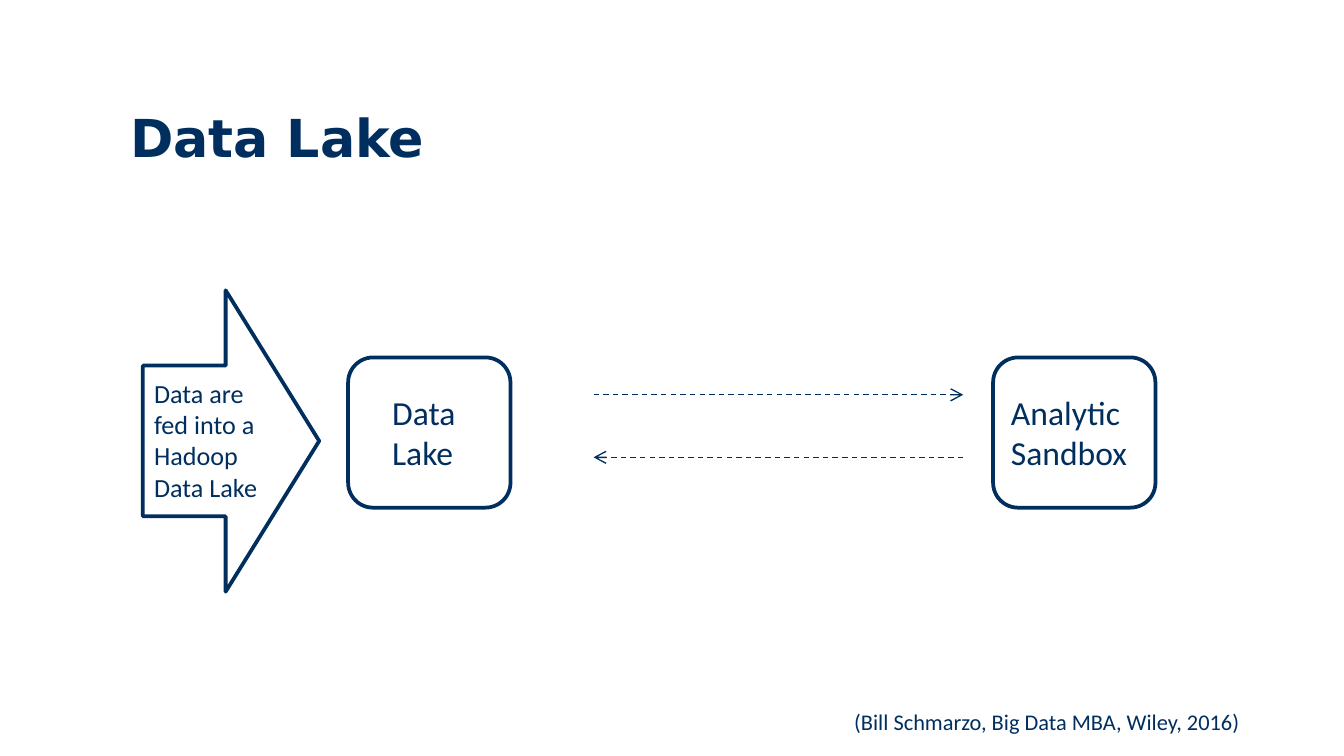
from lxml import etree
from pptx import Presentation
from pptx.dml.color import RGBColor
from pptx.enum.dml import MSO_LINE
from pptx.enum.shapes import MSO_CONNECTOR, MSO_SHAPE
from pptx.enum.text import MSO_ANCHOR, PP_ALIGN
from pptx.oxml.ns import qn
from pptx.util import Pt

NAVY = RGBColor(0x00, 0x2F, 0x5F)
INK = RGBColor(0x00, 0x2E, 0x5D)
WHITE = RGBColor(0xFF, 0xFF, 0xFF)
ROUND = MSO_SHAPE.ROUNDED_RECTANGLE
ARROW = MSO_SHAPE.RIGHT_ARROW
STRAIGHT = MSO_CONNECTOR.STRAIGHT
DASH = MSO_LINE.DASH
LEFT = PP_ALIGN.LEFT
TOP, MIDDLE = MSO_ANCHOR.TOP, MSO_ANCHOR.MIDDLE

TITLE = "Data Lake"
FEED = ["Data are", "fed into a Hadoop", "Data Lake"]
CREDIT = "(Bill Schmarzo, Big Data MBA, Wiley, 2016)"
NODES = [
    ("Data Lake", 186.5, 16.5),
    ("Analytic Sandbox", 532, 2.5),
]
NODE_TOP, NODE_WIDE, NODE_HIGH = 191.5, 87, 80.5
FLOWS = [(318, 516, 211.5), (516, 318, 245)]


def place(*box):
    return [Pt(size) for size in box]


def write(shape, lines, size=18, font="Calibri", bold=False, anchor=TOP, wrap=True):
    frame = shape.text_frame
    frame.word_wrap = wrap
    frame.vertical_anchor = anchor
    frame.text = "\n".join(lines)
    for para in frame.paragraphs:
        para.alignment = LEFT
        para.font.name = font
        para.font.size = Pt(size)
        para.font.bold = bold
        para.font.color.rgb = NAVY


def label(box, lines, **style):
    write(slide.shapes.add_textbox(*place(*box)), lines, **style)


def outline(kind, box):
    shape = slide.shapes.add_shape(kind, *place(*box))
    shape.shadow.inherit = False
    shape.fill.solid()
    shape.fill.fore_color.rgb = WHITE
    shape.line.color.rgb = NAVY
    shape.line.width = Pt(2)
    return shape


def flow(start, end, level):
    link = slide.shapes.add_connector(STRAIGHT, *place(start, level, end, level))
    link.line.color.rgb = INK
    link.line.width = Pt(0.75)
    link.line.dash_style = DASH
    etree.SubElement(link.line._get_or_add_ln(), qn("a:tailEnd"), type="arrow")
    etree.SubElement(link._element.spPr, qn("a:effectLst"))


deck = Presentation()
deck.slide_width, deck.slide_height = place(720, 405)
slide = deck.slides.add_slide(deck.slide_layouts[5])

title = slide.shapes.title
title.left, title.top, title.width, title.height = place(62.5, 49.5, 539, 47)
write(title, [TITLE], size=28, font="DejaVu Sans", bold=True, anchor=MIDDLE)

for name, left, inset in NODES:
    outline(ROUND, (left, NODE_TOP, NODE_WIDE, NODE_HIGH))
    label((left + inset, NODE_TOP + 15, NODE_WIDE - inset, 51), [name])

for start, end, level in FLOWS:
    flow(start, end, level)

feed = outline(ARROW, (76.5, 155.5, 94.5, 161.5))
feed.adjustments[0] = 0.5
feed.adjustments[1] = 0.53
label((75.5, 198.5, 102, 75), FEED, size=14)
label((450.5, 376, 223, 21.5), [CREDIT], size=12, wrap=False)

deck.save("out.pptx")
